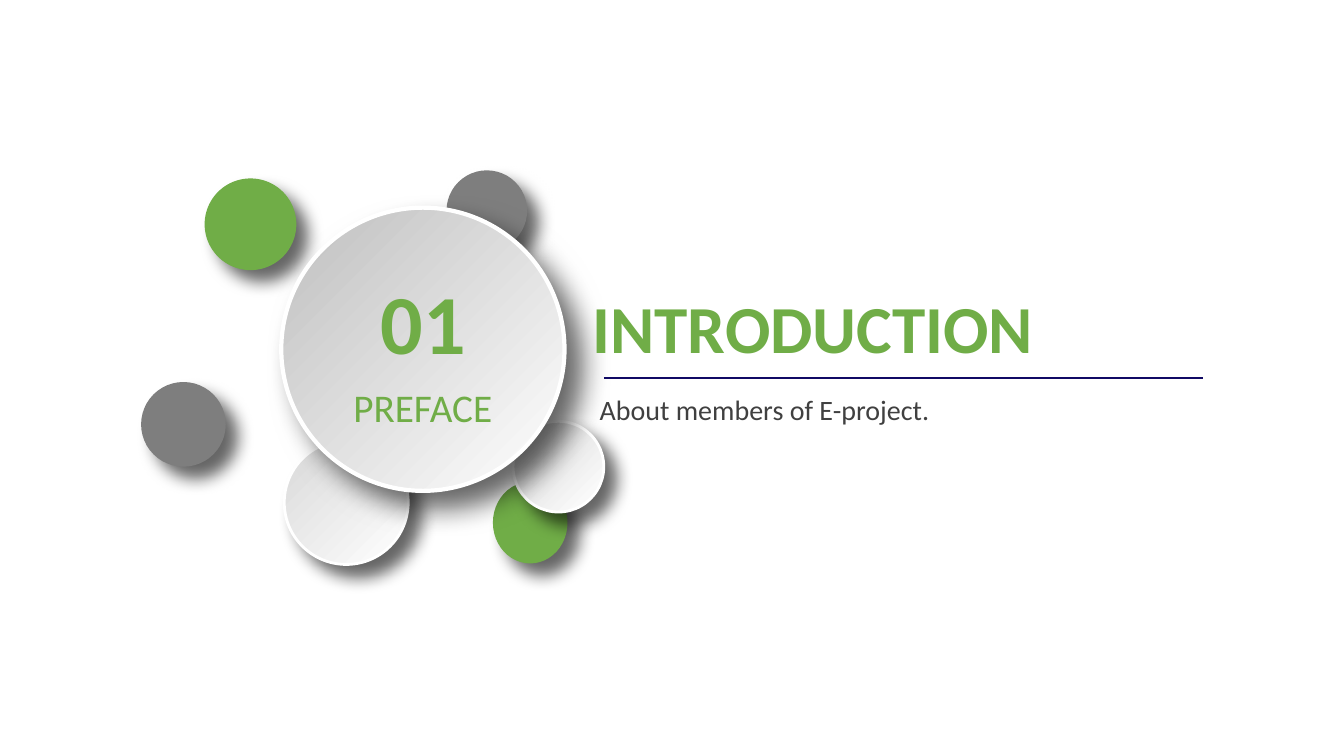
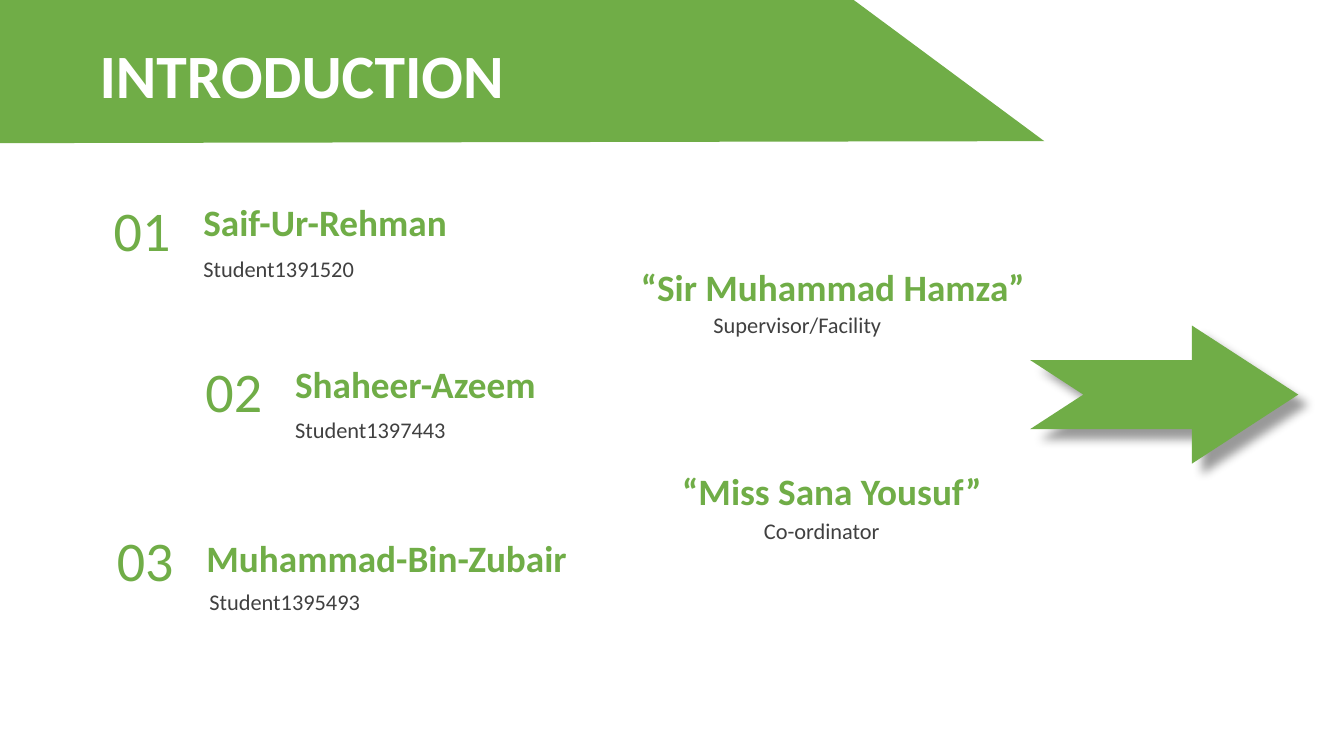
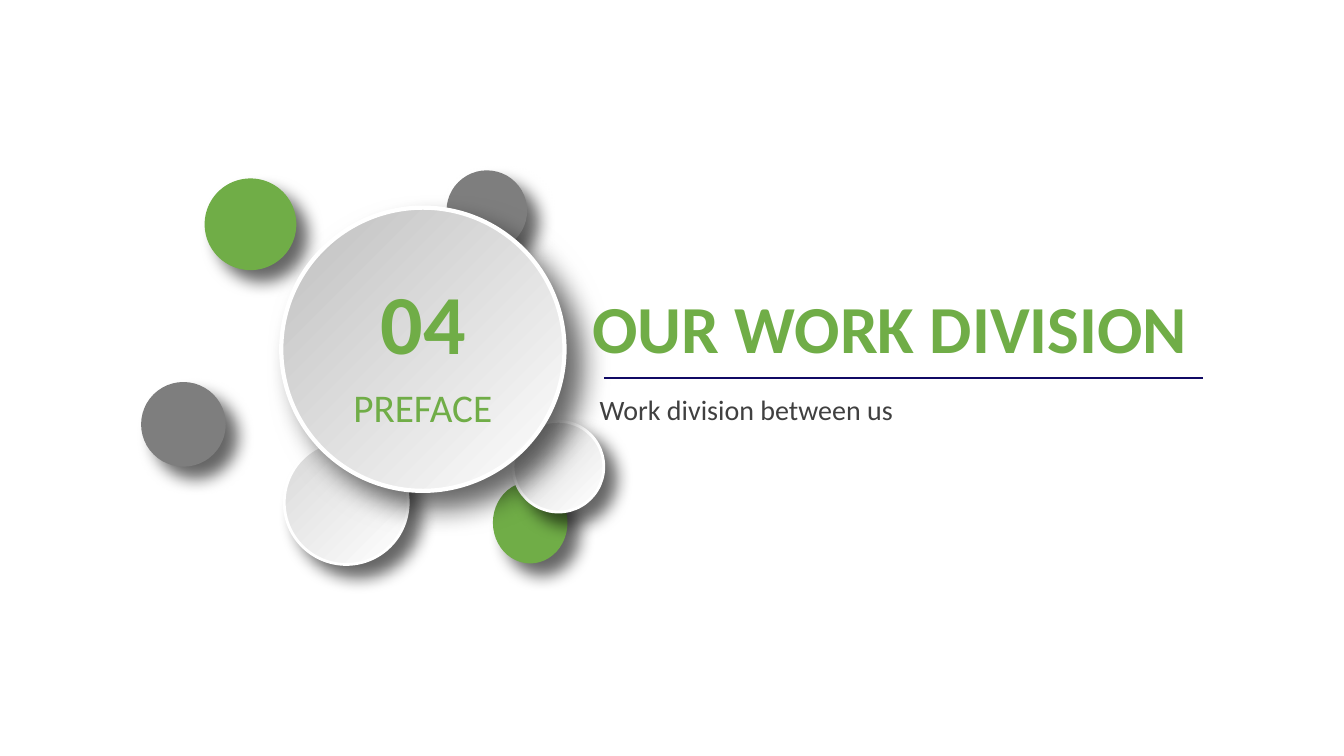
from pptx import Presentation
from pptx.dml.color import RGBColor
from pptx.enum.shapes import MSO_CONNECTOR, MSO_SHAPE
from pptx.enum.text import MSO_AUTO_SIZE, PP_ALIGN
from pptx.oxml.ns import qn
from pptx.oxml.xmlchemy import OxmlElement
from pptx.util import Inches, Pt

CIRCLE = MSO_SHAPE.OVAL
ARROW = MSO_SHAPE.NOTCHED_RIGHT_ARROW
STRAIGHT = MSO_CONNECTOR.STRAIGHT
LEFT, CENTER = PP_ALIGN.LEFT, PP_ALIGN.CENTER
FIT = MSO_AUTO_SIZE.SHAPE_TO_FIT_TEXT

FONT = "Calibri"
GREEN, GRAY, DARK, NAVY = "70AD47", "7E7E7E", "404040", "100964"
WHITE, SILVER, STEEL = "FFFFFF", "D9D9D9", "BFBFBF"

# The grid has ten columns and ten rows to the inch.
COLUMNS, ROWS = 133.33, 75


def grid(*cells):
    return [Inches(cell / 10) for cell in cells]


def color(hex_text):
    return RGBColor.from_string(hex_text)


def add_shadow(shape, blur, distance, opacity):
    """Cast a black shadow towards the lower right; sizes are in points."""
    shape.shadow.inherit = False
    effects = shape._element.spPr.find(qn("a:effectLst"))
    shadow = OxmlElement("a:outerShdw")
    settings = {"blurRad": Pt(blur), "dist": Pt(distance), "dir": 45 * 60000,
                "algn": "tl", "rotWithShape": 0}
    for key, value in settings.items():
        shadow.set(key, str(value))
    black = OxmlElement("a:srgbClr")
    black.set("val", "000000")
    alpha = OxmlElement("a:alpha")
    alpha.set("val", str(opacity * 1000))
    black.append(alpha)
    shadow.append(black)
    effects.append(shadow)


class Deck:
    def __init__(self):
        self.deck = Presentation()
        self.deck.slide_width, self.deck.slide_height = grid(COLUMNS, ROWS)
        self.page = None

    def new_page(self):
        self.page = self.deck.slides.add_slide(self.deck.slide_layouts[6])

    def text(self, words, col, row, width, height, size=16, ink=GREEN,
             bold=False, align=LEFT):
        box = self.page.shapes.add_textbox(*grid(col, row, width, height))
        frame = box.text_frame
        frame.word_wrap = True
        frame.auto_size = FIT
        para = frame.paragraphs[0]
        para.alignment = align
        span = para.add_run()
        span.text = words
        span.font.name = FONT
        span.font.size = Pt(size)
        span.font.bold = bold
        span.font.color.rgb = color(ink)

    def shape(self, kind, col, row, width, height, fill=GREEN, outline=0,
              blur=12, distance=12, opacity=60):
        """Add a shadowed shape; an outline makes its fill fade from white."""
        shape = self.page.shapes.add_shape(kind, *grid(col, row, width, height))
        if outline:
            shape.fill.gradient()
            shape.fill.gradient_angle = 135
            for stop, shade in zip(shape.fill.gradient_stops, (WHITE, fill)):
                stop.color.rgb = color(shade)
            shape.line.color.rgb = color(WHITE)
            shape.line.width = Pt(outline)
        else:
            shape.fill.solid()
            shape.fill.fore_color.rgb = color(fill)
            shape.line.fill.background()
        add_shadow(shape, blur, distance, opacity)
        return shape

    def rule(self, start, end, row):
        line = self.page.shapes.add_connector(STRAIGHT, *grid(start, row, end, row))
        line.line.color.rgb = color(NAVY)
        line.line.width = Pt(1.5)
        line._element.spPr.append(OxmlElement("a:effectLst"))

    def banner(self, title):
        corners = [grid(*point) for point in
                   [(0, 0), (84.7, 0), (103.6, 14), (0, 14.2)]]
        builder = self.page.shapes.build_freeform(*corners[0])
        builder.add_line_segments(corners[1:], close=True)
        band = builder.convert_to_shape()
        band.fill.solid()
        band.fill.fore_color.rgb = color(GREEN)
        band.line.fill.background()
        band.shadow.inherit = False
        self.text(title, 8.2, 3.2, 43.5, 8.4, size=44, ink=WHITE, bold=True,
                  align=CENTER)

    def person(self, name, detail, col, row, shift=0, drop=5.5):
        """Write a name, and a detail moved right by shift and down by drop."""
        self.text(name, col, row, 41.4, 5.5, size=26.6, bold=True)
        self.text(detail, col + shift, row + drop, 19, 3.7, ink=DARK)

    def section(self, number, title, summary):
        self.new_page()
        self.shape(CIRCLE, 48.9, 47.8, 7.4, 8.1)
        for col, row, size, fill, outline in [
                (20.3, 17.7, 9.1, GREEN, 0), (14, 37.9, 8.4, GRAY, 0),
                (44.3, 16.9, 8, GRAY, 0), (28.2, 43.7, 12.3, SILVER, 2),
                (50.9, 41.8, 9, SILVER, 2)]:
            self.shape(CIRCLE, col, row, size, size, fill, outline)
        self.shape(CIRCLE, 27.9, 20.6, 28.1, 28.1, STEEL, 3, blur=20, distance=16)
        self.text(number, 36.5, 26.3, 11, 11.1, size=60, bold=True, align=CENTER)
        self.text("PREFACE", 29.1, 37.5, 25.7, 5.7, size=28, align=CENTER)
        self.text(title, 57.8, 27.9, 70.8, 9.1, size=48, bold=True)
        self.text(summary, 58.5, 38.4, 70.1, 4.4, size=20, ink=DARK)
        self.rule(59.9, 119.3, 37.5)

    def team(self):
        self.new_page()
        self.banner("INTRODUCTION")
        members = [
            ("01", 0.4, ("Saif-Ur-Rehman", "Student1391520", 19.2, 19.3)),
            ("02", 0.4, ("Shaheer-Azeem", "Student1397443", 28.3, 35.3)),
            ("03", 1, ("Muhammad-Bin-Zubair", "Student1395493", 19.5, 52.6, 0.3, 5.3))]
        for number, lift, member in members:
            self.person(*member)
            col, row = member[2:4]
            self.text(number, col - 8.9, row - lift, 8.2, 7.7, size=40)
        self.person("“Sir Muhammad Hamza”", "Supervisor/Facility", 62.6, 25.7, 7.2, 4.7)
        self.person("“Miss Sana Yousuf”", "Co-ordinator", 66.7, 46, 8.1, 4.8)
        arrow = self.shape(ARROW, 102.2, 32.3, 26.6, 13.7, blur=7, distance=10,
                           opacity=40)
        arrow.adjustments[0], arrow.adjustments[1] = 0.5, 0.77


def main():
    show = Deck()
    show.section("01", "INTRODUCTION", "About members of E-project.")
    show.team()
    show.section("04", "OUR WORK DIVISION", "Work division between us")
    show.deck.save("out.pptx")


if __name__ == "__main__":
    main()
